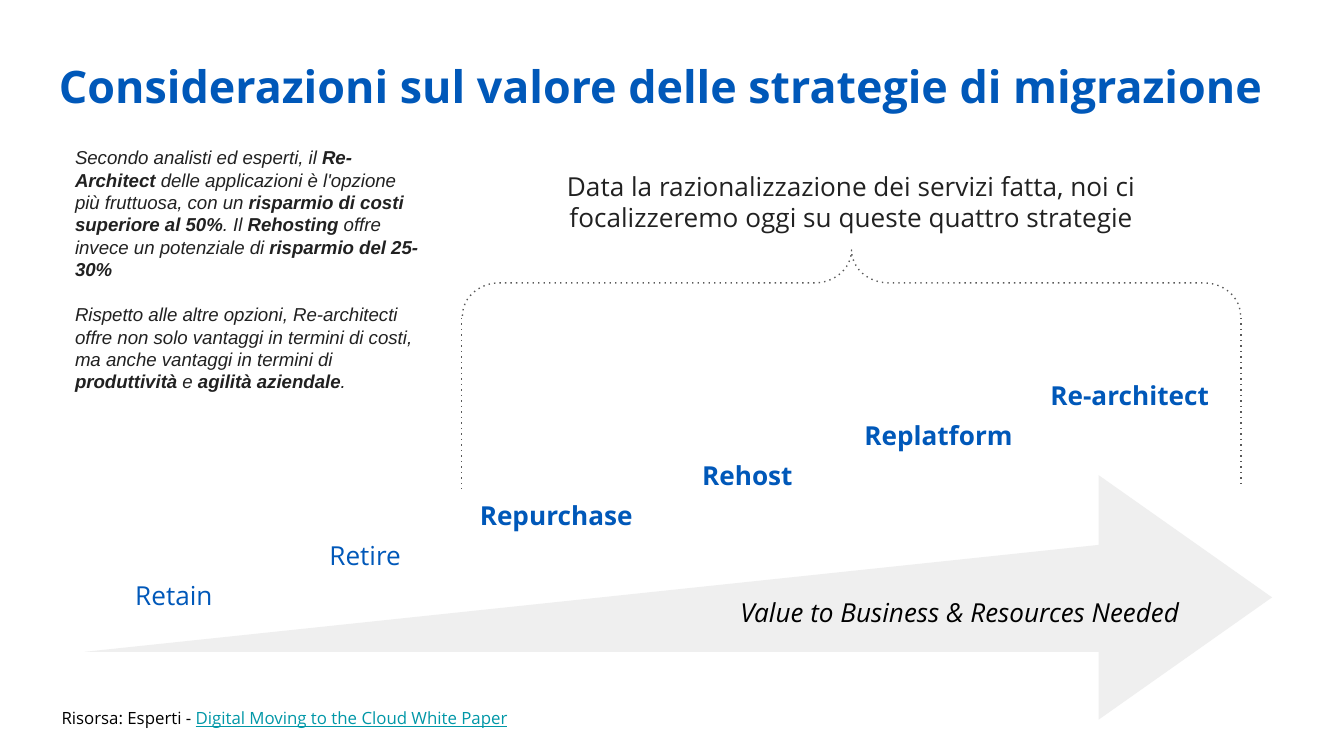
import pptx
import pptx.dml.color
import pptx.enum.dml
import pptx.enum.shapes
import pptx.enum.text
import pptx.oxml.ns
import pptx.util
from lxml import etree

Pt = pptx.util.Pt
SHAPES = pptx.enum.shapes.MSO_SHAPE
ALIGN = pptx.enum.text.PP_ALIGN
ANCHOR = pptx.enum.text.MSO_ANCHOR
qn = pptx.oxml.ns.qn

# Content
BLUE, DARK, BLACK, LINK = "0058B9", "212121", "000000", "0097A7"
PALE, GREY = "EFEFEF", "595959"
BOLD = {"bold": True}

title = [[("Considerazioni sul valore delle strategie di migrazione", BOLD)]]
findings = [
    [("Secondo analisti ed esperti, il ", {}),
     ("Re-Architect ", BOLD),
     ("delle applicazioni è l'opzione più fruttuosa, con un ", {}),
     ("risparmio di costi superiore al 50%", BOLD),
     (". Il ", {}),
     ("Rehosting ", BOLD),
     ("offre invece un potenziale di ", {}),
     ("risparmio del 25-30%", BOLD)],
    [("Rispetto alle altre opzioni, Re-architecti offre non solo vantaggi in "
      "termini di costi, ma anche vantaggi in termini di", {}),
     (" produttività", BOLD),
     (" e ", {}),
     ("agilità aziendale", BOLD),
     (".", {})],
]
focus = [[("Data la razionalizzazione dei servizi fatta, noi ci focalizzeremo "
           "oggi su queste quattro strategie ", {})]]
value_axis = [[("Value to Business & Resources Needed", {})]]
source = [[("Risorsa: Esperti - ", {}),
           ("Digital Moving to the Cloud White Paper",
            {"underline": True, "color": LINK})]]
strategies = [("Retain", False), ("Retire", False), ("Repurchase", True),
              ("Rehost", True), ("Replatform", True), ("Re-architect", True)]

deck = pptx.Presentation()
deck.slide_width, deck.slide_height = Pt(720), Pt(405)
slide = deck.slides.add_slide(deck.slide_layouts[6])


def rgb(color):
    return pptx.dml.color.RGBColor.from_string(color)


def add_text(box, paragraphs, size, color, font="Open Sans", italic=False,
             align=ALIGN.LEFT, anchor=ANCHOR.MIDDLE, gap=0):
    frame = slide.shapes.add_textbox(*map(Pt, box)).text_frame
    margins = dict.fromkeys(("margin_left", "margin_top",
                             "margin_right", "margin_bottom"), Pt(7.2))
    for key, value in {"word_wrap": True, "vertical_anchor": anchor,
                       **margins}.items():
        setattr(frame, key, value)
    for index, runs in enumerate(paragraphs):
        paragraph = frame.add_paragraph() if index else frame.paragraphs[0]
        paragraph.alignment = align
        paragraph.space_before = Pt(gap if index else 0)
        for text, changes in runs:
            style = {"name": font, "size": Pt(size), "italic": italic,
                     "bold": False, "color": color, **changes}
            run = paragraph.add_run()
            run.text = text
            run.font.color.rgb = rgb(style.pop("color"))
            for key, value in style.items():
                setattr(run.font, key, value)


def add_shape(kind, box, rotation=0):
    shape = slide.shapes.add_shape(kind, *map(Pt, box))
    shape.shadow.inherit = False
    shape.rotation = rotation
    return shape


def dot_line(line):
    line.color.rgb = rgb(GREY)
    line.width = Pt(0.75)
    line.dash_style = pptx.enum.dml.MSO_LINE.ROUND_DOT
    line._ln.find(qn("a:prstDash")).set("val", "dot")


# Growing arrow: wedge and head
wedge = add_shape(SHAPES.RIGHT_TRIANGLE, (45.4, 290.2, 559.4, 59))
wedge.element.spPr.find(qn("a:xfrm")).set("flipH", "1")
head = add_shape(SHAPES.ISOSCELES_TRIANGLE, (569.5, 273.6, 131, 92.9), 90)
for part in (wedge, head):
    part.fill.solid()
    part.fill.fore_color.rgb = rgb(PALE)
    part.line.fill.background()

# Dotted brace over the four strategies in focus
brace = add_shape(SHAPES.LEFT_BRACE, (438.5, -56.9, 35.3, 416.9), 90)
brace.adjustments[0] = 0.56
brace.fill.background()
dot_line(brace.line)
for x, bottom in ((247.3, 262), (664.8, 261.4)):
    side = slide.shapes.add_connector(
        pptx.enum.shapes.MSO_CONNECTOR.STRAIGHT,
        Pt(x), Pt(170.3), Pt(x), Pt(bottom))
    etree.SubElement(side.element.spPr, qn("a:effectLst"))
    dot_line(side.line)

# Texts
add_text((24.5, 24.5, 671, 45.4), title, 24, BLUE, anchor=ANCHOR.TOP)
add_text((33.1, 73.4, 198, 141.8), findings, 10, DARK, font="Arial",
         italic=True, gap=12)
add_text((296.6, 82.1, 319, 51.8), focus, 14, DARK, align=ALIGN.CENTER)
add_text((389.5, 301, 260.6, 54), value_axis, 14, BLACK, italic=True)
add_text((25.9, 373.7, 535, 31.7), source, 9, BLACK, anchor=ANCHOR.TOP)

# Strategies climb in equal steps
for step, (strategy, in_focus) in enumerate(strategies):
    add_text((26.6 + 102.4 * step, 301 - 21.4 * step, 133.2, 35.3),
             [[(strategy, {"bold": in_focus})]], 14, BLUE, align=ALIGN.CENTER)

deck.save("out.pptx")
